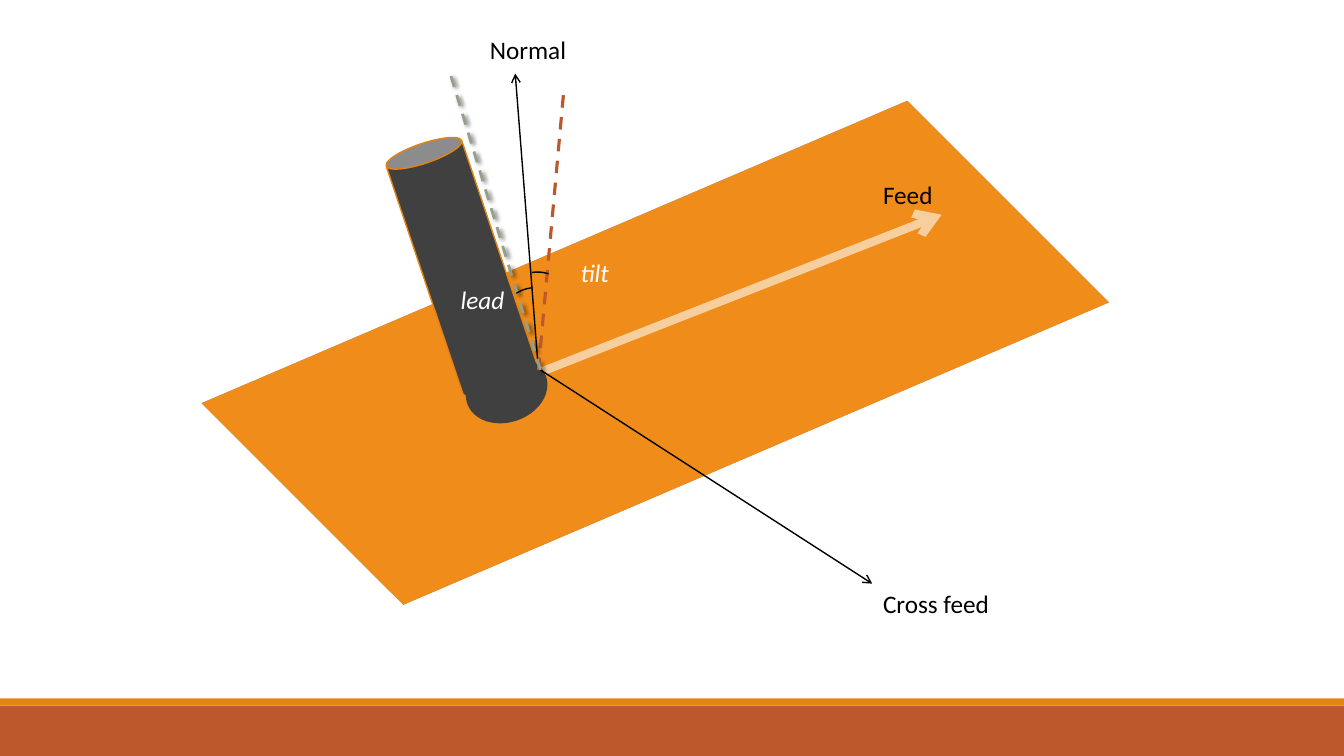
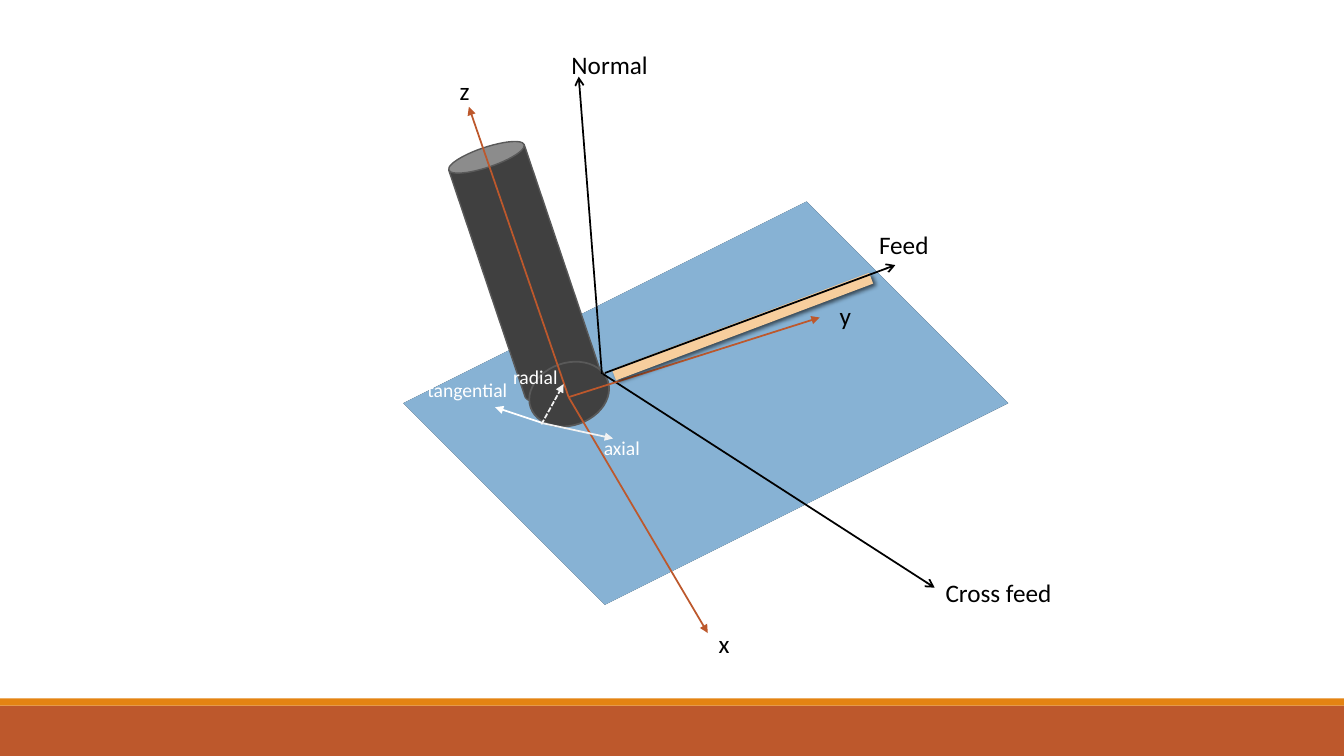
from lxml.etree import SubElement
from pptx import Presentation
from pptx.dml.color import RGBColor
from pptx.enum.dml import MSO_LINE
from pptx.enum.shapes import MSO_CONNECTOR, MSO_SHAPE
from pptx.enum.text import MSO_AUTO_SIZE
from pptx.oxml.ns import qn
from pptx.util import Inches, Pt

FONT = "Calibri"
BLACK, WHITE, PALE = "000000", "FFFFFF", "F2F2F2"
RUST, ORANGE, PEACH = "BD582C", "E48312", "F7CE9D"
STEEL, GREY, SAGE = "404040", "595959", "94A088"


def rgb(code):
    return RGBColor.from_string(code)


def paint(shape, fill=None, line=None, width=1):
    shape.shadow.inherit = False
    if fill:
        shape.fill.solid()
        shape.fill.fore_color.rgb = rgb(fill)
    else:
        shape.fill.background()
    if line:
        shape.line.color.rgb = rgb(line)
        shape.line.width = Pt(width)
    else:
        shape.line.fill.background()


def add_form(slide, kind, x, y, w, h, turn=0):
    shape = slide.shapes.add_shape(kind, Inches(x), Inches(y), Inches(w), Inches(h))
    shape.rotation = turn
    return shape


def add_bands(prs, slide):
    """Draw the footer bands and hand them over to the master."""
    tree = prs.slide_master.element.cSld.spTree
    for y, h, color in ((7, 0.5, RUST), (6.93, 0.07, ORANGE)):
        band = add_form(slide, MSO_SHAPE.RECTANGLE, 0, y, 13.33, h)
        band.width = prs.slide_width
        paint(band, color)
        tree.append(band.element)


def add_plane(slide, corners, fill, edge):
    """Draw a thin slab: the edge colour shows below the top face."""
    for drop, color in ((0.03, edge), (0, fill)):
        points = [(x, y + drop) for x, y in corners]
        outline = slide.shapes.build_freeform(*points[0], scale=Inches(1))
        outline.add_line_segments(points[1:])
        paint(outline.convert_to_shape(), color)


def add_tool(slide, x, y, rim, ring):
    shank = add_form(slide, MSO_SHAPE.CAN, x, y, 0.79, 2.58, 341.4)
    paint(shank, STEEL, rim)
    ball = add_form(slide, MSO_SHAPE.OVAL, x + 0.43, y + 2.2, 0.81, 0.62, 340.9)
    paint(ball, STEEL, ring, 1.25)
    slide.shapes.add_group_shape([shank, ball])


def add_line(slide, start, end, color, width, head=None, dash=None, shade=False):
    line = slide.shapes.add_connector(
        MSO_CONNECTOR.STRAIGHT, *(Inches(v) for v in (*start, *end)))
    line.line.color.rgb = rgb(color)
    line.line.width = Pt(width)
    if dash:
        line.line.dash_style = dash
    props = line.element.spPr
    if head:
        SubElement(props.find(qn("a:ln")), qn("a:tailEnd"), type=head)
    effects = SubElement(props, qn("a:effectLst"))
    if shade:
        shadow = SubElement(effects, qn("a:outerShdw"), blurRad=str(Pt(3)),
                            dist=str(Pt(2)), dir="2700000", rotWithShape="0")
        tone = SubElement(shadow, qn("a:srgbClr"), val=BLACK)
        SubElement(tone, qn("a:alpha"), val="60000")


def add_label(slide, text, x, y, w, color=BLACK, size=18, italic=False):
    box = slide.shapes.add_textbox(
        Inches(x), Inches(y), Inches(w), Inches(0.4 if size == 18 else 0.34))
    frame = box.text_frame
    frame.word_wrap = False
    frame.auto_size = MSO_AUTO_SIZE.SHAPE_TO_FIT_TEXT
    frame.text = text
    font = frame.paragraphs[0].font
    font.name, font.size, font.italic = FONT, Pt(size), italic
    font.color.rgb = rgb(color)


def add_arc(slide, x, y, turn):
    arc = add_form(slide, MSO_SHAPE.ARC, x, y, 0.59, 0.49, turn)
    arc.adjustments[0] = 162
    arc.adjustments[1] = 185.02
    paint(arc, line=BLACK)


def draw_angles(slide):
    add_plane(slide, [(1.98, 3.63), (8.67, 1.37), (10.96, 2.73), (3.78, 5.83)],
              "F08C1A", "808080")
    add_line(slide, (5.11, 3.79), (9.34, 2.13), PEACH, 6, "arrow")
    add_tool(slide, 4.19, 1.36, ORANGE, STEEL)
    add_line(slide, (5.34, 3.67), (5.11, 0.73), BLACK, 1, "arrow")
    add_line(slide, (5.36, 3.67), (8.65, 5.79), BLACK, 1, "arrow")
    add_line(slide, (5.34, 3.67), (5.59, 0.92), RUST, 2.25, dash=MSO_LINE.DASH)
    add_line(slide, (5.36, 3.67), (4.45, 0.68), SAGE, 2, dash=MSO_LINE.DASH,
             shade=True)
    add_label(slide, "Feed", 8.66, 1.73, 0.7)
    add_label(slide, "Normal", 4.76, 0.29, 0.97)
    add_label(slide, "Cross feed", 8.66, 5.79, 1.26)
    add_label(slide, "lead", 4.47, 2.77, 0.64, WHITE, italic=True)
    add_label(slide, "tilt", 5.66, 2.5, 0.49, WHITE, italic=True)
    add_arc(slide, 4.96, 2.87, 327.1)
    add_arc(slide, 5.02, 2.7, 350.7)


def draw_forces(slide):
    add_plane(slide, [(3.58, 3.54), (7.88, 2.11), (10.13, 3.55), (5.53, 5.55)],
              "87B2D4", "0E1F2C")
    add_tool(slide, 4.81, 1.4, GREY, GREY)
    add_line(slide, (5.97, 3.71), (5.74, 0.76), BLACK, 1.25, "arrow")
    add_line(slide, (5.98, 3.71), (9.27, 5.83), BLACK, 1.25, "arrow")
    for tip in ((4.65, 1.06), (7.02, 6.28), (8.13, 3.15)):
        add_line(slide, (5.64, 3.94), tip, RUST, 1.25, "triangle")
    add_line(slide, (5.39, 4.2), (4.91, 4.04), WHITE, 1.25, "triangle")
    add_line(slide, (5.37, 4.21), (5.59, 3.81), PALE, 1.25, "triangle",
             MSO_LINE.SQUARE_DOT)
    add_line(slide, (5.39, 4.2), (6.08, 4.35), PALE, 1.25, "triangle")
    add_line(slide, (6.09, 3.72), (8.64, 2.76), PEACH, 8.25, shade=True)
    add_line(slide, (6, 3.7), (8.88, 2.63), BLACK, 1.25, "arrow")
    for text, x, y, w in (("Feed", 8.62, 2.23, 0.7),
                          ("Normal", 5.57, 0.44, 0.97),
                          ("Cross feed", 9.28, 5.68, 1.26),
                          ("x", 7.03, 6.18, 0.31),
                          ("y", 8.23, 2.93, 0.32),
                          ("z", 4.46, 0.7, 0.3)):
        add_label(slide, text, x, y, w)
    for text, x, y, w in (("radial", 4.99, 3.57, 0.65),
                          ("tangential", 4.14, 3.7, 1.01),
                          ("axial", 5.89, 4.28, 0.57)):
        add_label(slide, text, x, y, w, WHITE, 14)


def main():
    prs = Presentation()
    prs.slide_width, prs.slide_height = Inches(13.33), Inches(7.5)
    blank = prs.slide_layouts[6]
    angles, forces = (prs.slides.add_slide(blank) for _ in range(2))
    add_bands(prs, angles)
    draw_angles(angles)
    draw_forces(forces)
    prs.save("out.pptx")


if __name__ == "__main__":
    main()
